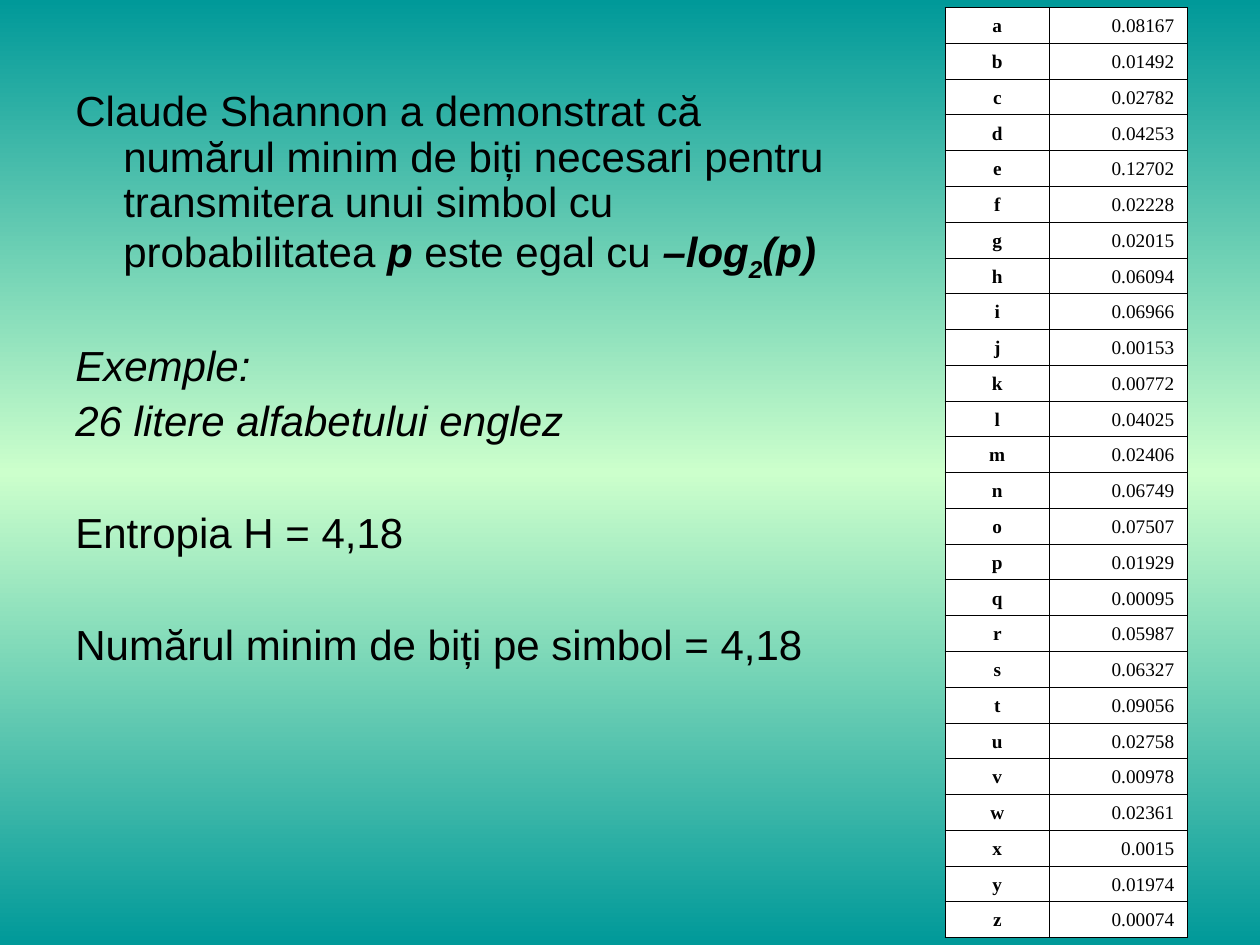
from lxml import etree
from pptx import Presentation
from pptx.dml.color import RGBColor
from pptx.enum.text import MSO_ANCHOR, PP_ALIGN
from pptx.oxml.ns import qn
from pptx.util import Inches, Pt

CENTER, RIGHT = PP_ALIGN.CENTER, PP_ALIGN.RIGHT
BOTTOM = MSO_ANCHOR.BOTTOM
BLACK, WHITE, TEAL, MINT = "000000", "FFFFFF", "009999", "CCFFCC"

LINE_GAP = 6    # points before each paragraph
BLOCK_GAP = 38  # points before a paragraph that opens a new block

# Each paragraph: space before, then spans of (text, bold, italic, baseline)
PARAGRAPHS = [
    (LINE_GAP, [
        ("Claude Shannon a demonstrat că numărul minim de biți necesari pentru "
         "transmitera unui simbol cu probabilitatea ", False, False, 0),
        ("p", True, True, 0),
        (" este egal cu ", False, False, 0),
        ("–log", True, True, 0),
        ("2", True, True, -25000),
        ("(p)", True, True, 0),
    ]),
    (BLOCK_GAP, [("Exemple:", False, True, 0)]),
    (LINE_GAP, [("26 litere alfabetului englez", False, True, 0)]),
    (BLOCK_GAP, [("Entropia H = 4,18", False, False, 0)]),
    (BLOCK_GAP, [("Numărul minim de biți pe simbol = 4,18", False, False, 0)]),
]

LETTERS = "abcdefghijklmnopqrstuvwxyz"
FREQUENCIES = """
0.08167 0.01492 0.02782 0.04253 0.12702 0.02228 0.02015 0.06094 0.06966
0.00153 0.00772 0.04025 0.02406 0.06749 0.07507 0.01929 0.00095 0.05987
0.06327 0.09056 0.02758 0.00978 0.02361 0.0015 0.01974 0.00074
""".split()


def color(value):
    return RGBColor.from_string(value)


def style(span, font, size, bold=False, italic=False):
    span.font.name = font
    span.font.size = Pt(size)
    span.font.bold = bold
    span.font.italic = italic
    span.font.color.rgb = color(BLACK)


def paint_background(page):
    """Vertical gradient: teal, mint in the middle, teal."""
    fill = page.background.fill
    fill.gradient()
    fill.gradient_angle = 270
    stops = page.background._cSld.find(".//" + qn("a:gsLst"))
    for stop in list(stops):
        stops.remove(stop)
    for position, value in ((0, TEAL), (50000, MINT), (100000, TEAL)):
        stop = etree.SubElement(stops, qn("a:gs"), pos=str(position))
        etree.SubElement(stop, qn("a:srgbClr"), val=value)


def add_explanation(page, left, top, width, height):
    """Text with hanging indents."""
    frame = page.shapes.add_textbox(left, top, width, height).text_frame
    frame.word_wrap = True
    for index, (gap, spans) in enumerate(PARAGRAPHS):
        para = frame.add_paragraph() if index else frame.paragraphs[0]
        para.line_spacing = 0.9
        para.space_before = Pt(gap)
        indent = Inches(0.38)
        properties = para._p.get_or_add_pPr()
        properties.set("marL", str(indent))
        properties.set("indent", str(-indent))
        for text, bold, italic, baseline in spans:
            span = para.add_run()
            span.text = text
            style(span, "Arial", 24, bold, italic)
            if baseline:
                span.font._element.set("baseline", str(baseline))


def add_borders(cell):
    """Thin black lines, placed before the fill as the schema requires."""
    properties = cell._tc.get_or_add_tcPr()
    for index, side in enumerate(("a:lnL", "a:lnR", "a:lnT", "a:lnB")):
        line = etree.Element(qn(side), w=str(Pt(0.45)))
        fill = etree.SubElement(line, qn("a:solidFill"))
        etree.SubElement(fill, qn("a:srgbClr"), val=BLACK)
        properties.insert(index, line)


def add_frequency_table(page, left, top, width, height):
    """One row for each letter and its probability."""
    count = len(LETTERS)
    table = page.shapes.add_table(count, 2, left, top, width, height).table
    table.first_row = table.horz_banding = False
    table.columns[0].width = Inches(0.83)
    table.columns[1].width = width - Inches(0.83)
    for row, values in zip(table.rows, zip(LETTERS, FREQUENCIES)):
        row.height = height // count
        for cell, text, align, bold in zip(
                row.cells, values, (CENTER, RIGHT), (True, False)):
            cell.fill.solid()
            cell.fill.fore_color.rgb = color(WHITE)
            cell.vertical_anchor = BOTTOM
            add_borders(cell)
            cell.text_frame.text = text
            para = cell.text_frame.paragraphs[0]
            para.alignment = align
            style(para.runs[0], "Times New Roman", 11, bold)


def main():
    deck = Presentation()
    deck.slide_width, deck.slide_height = Inches(10), Inches(7.5)
    page = deck.slides.add_slide(deck.slide_layouts[6])
    paint_background(page)
    add_explanation(page, Inches(0.5), Inches(0.67), Inches(6.42), Inches(6.17))
    add_frequency_table(page, Inches(7.5), Inches(0.06), Inches(1.92), Inches(7.37))
    deck.save("out.pptx")


if __name__ == "__main__":
    main()
